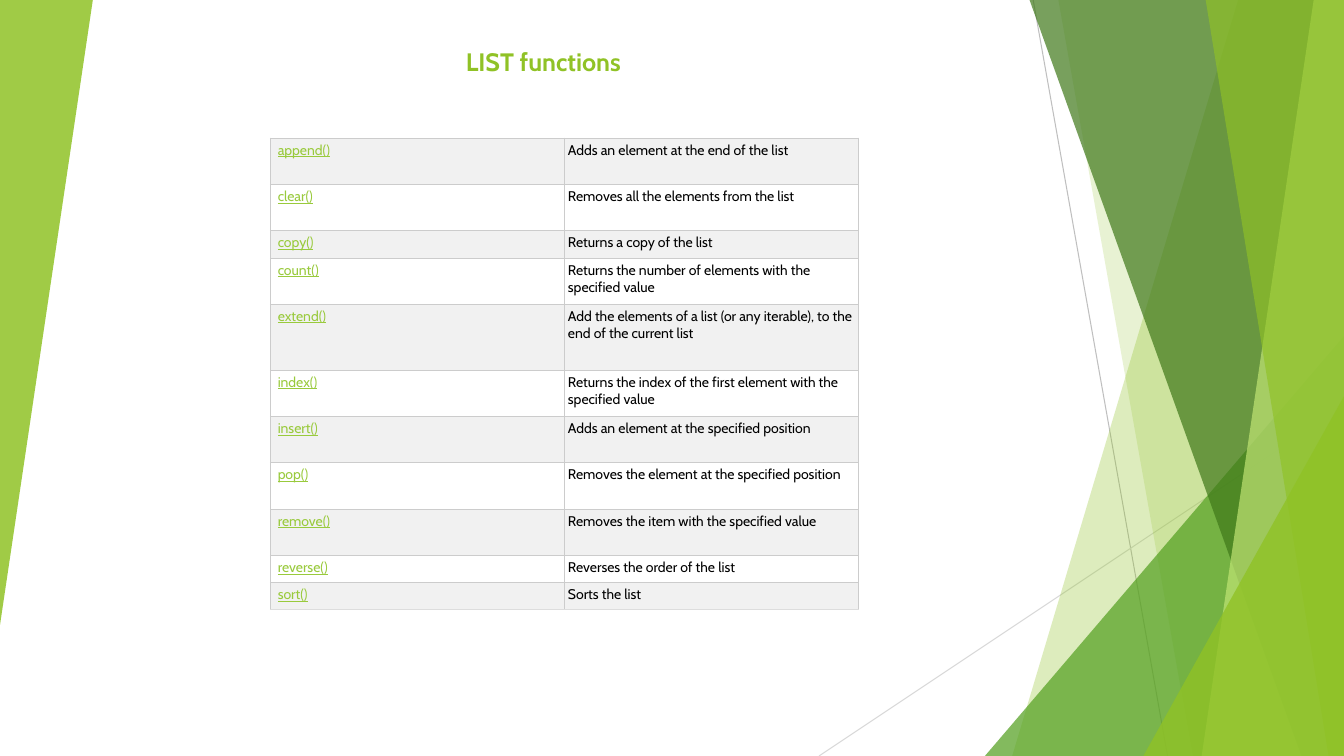
from lxml.etree import SubElement
from pptx import Presentation
from pptx.dml.color import RGBColor
from pptx.enum.shapes import MSO_CONNECTOR as Connector, MSO_SHAPE as Shape
from pptx.enum.text import MSO_ANCHOR as Anchor, MSO_AUTO_SIZE as AutoSize, PP_ALIGN as Align
from pptx.oxml.ns import qn
from pptx.util import Pt

FONT = "Cabin"
WIDTH, HEIGHT = 960, 540
COLORS = {
    "lime": "90C226", "green": "54A021", "forest": "3F7819", "pale": "C0E474",
    "link": "99CA3C", "text": "000000", "band": "F1F1F1", "plain": "FFFFFF",
    "border": "CCCCCC", "last_border": "DDDDDD",
    "dark_line": "BFBFBF", "light_line": "D9D9D9",
}
TALL, SHORT, EXTRA = 33.1, 19.5, 47
LIST_FUNCTIONS = [
    ("append()", "Adds an element at the end of the list", TALL),
    ("clear()", "Removes all the elements from the list", TALL),
    ("copy()", "Returns a copy of the list", SHORT),
    ("count()", "Returns the number of elements with the specified value", TALL),
    ("extend()", "Add the elements of a list (or any iterable), to the end of the current list", EXTRA),
    ("index()", "Returns the index of the first element with the specified value", TALL),
    ("insert()", "Adds an element at the specified position", TALL),
    ("pop()", "Removes the element at the specified position", TALL),
    ("remove()", "Removes the item with the specified value", TALL),
    ("reverse()", "Reverses the order of the list", SHORT),
    ("sort()", "Sorts the list", SHORT),
]


def rgb(color):
    return RGBColor.from_string(COLORS[color])


def add_run(paragraph, text, size, color, bold=False, underline=False):
    run = paragraph.add_run()
    run.text = text
    font = run.font
    font.name, font.size = FONT, Pt(size)
    font.bold, font.underline = bold, underline
    font.color.rgb = rgb(color)


def paint_facet(facet, color, opacity):
    facet.shadow.inherit = False
    facet.line.fill.background()
    facet.fill.solid()
    facet.fill.fore_color.rgb = rgb(color)
    tint = facet.fill._xPr.find(qn("a:solidFill"))[0]
    SubElement(tint, qn("a:alpha"), val=str(opacity * 1000))


def add_ray(slide, start, end, color):
    ray = slide.shapes.add_connector(Connector.STRAIGHT, *map(Pt, start + end))
    ray.line.color.rgb = rgb(color)
    ray.line.width = Pt(0.75)
    SubElement(ray._element.spPr, qn("a:effectLst"))


def add_wedge(slide, left, top, width, height, color, opacity, rotation=0):
    wedge = slide.shapes.add_shape(
        Shape.ISOSCELES_TRIANGLE, Pt(left), Pt(top), Pt(width), Pt(height))
    wedge.adjustments[0] = 1
    wedge.rotation = rotation
    paint_facet(wedge, color, opacity)


def add_right_facets(slide, left, top, width, height):
    right, bottom = left + width, top + height

    def add_blade(top_inset, bottom_inset, color, opacity):
        corners = [(right - top_inset, top), (right, top),
                   (right, bottom), (right - bottom_inset, bottom)]
        points = [(Pt(x), Pt(y)) for x, y in corners]
        outline = slide.shapes.build_freeform(*points[0], scale=1.0)
        outline.add_line_segments(points[1:], close=True)
        paint_facet(outline.convert_to_shape(), color, opacity)

    def add_corner(corner_width, corner_height, color, opacity):
        add_wedge(slide, right - corner_width, bottom - corner_height,
                  corner_width, corner_height, color, opacity)

    add_ray(slide, (right - 222, top), (right - 126, bottom), "dark_line")
    add_ray(slide, (right, top + 290), (left, bottom), "light_line")
    add_blade(75.6, 237, "lime", 30)
    add_blade(204, 108, "lime", 20)
    add_corner(256.5, 300, "green", 72)
    add_blade(224.6, 30.4, "forest", 70)
    add_blade(21.6, 101.6, "pale", 70)
    add_blade(98.8, 11, "lime", 65)
    add_corner(143.3, 257, "lime", 80)


def add_left_facet(slide, left, top, width, height):
    add_wedge(slide, left, top, width, height, "lime", 85, rotation=180)


def place_title(slide, left, top, width, height):
    title = slide.shapes.title
    title.left, title.top, title.width, title.height = map(Pt, (left, top, width, height))
    frame = title.text_frame
    frame.word_wrap = True
    frame.auto_size = AutoSize.NONE
    frame.vertical_anchor = Anchor.TOP
    paragraph = frame.paragraphs[0]
    paragraph.alignment = Align.LEFT
    add_run(paragraph, "LIST functions", 18, "lime", bold=True)


def border_cell(cell, bottom_color):
    properties = cell._tc.get_or_add_tcPr()
    for side in ("lnL", "lnR", "lnT", "lnB"):
        edge = SubElement(properties, qn(f"a:{side}"), w=str(Pt(0.6)))
        fill = SubElement(edge, qn("a:solidFill"))
        color = bottom_color if side == "lnB" else "border"
        SubElement(fill, qn("a:srgbClr"), val=COLORS[color])


def add_function_table(slide, left, top, width):
    height = sum(row_height for _, _, row_height in LIST_FUNCTIONS)
    table = slide.shapes.add_table(
        len(LIST_FUNCTIONS), 2, Pt(left), Pt(top), Pt(width), Pt(height)).table
    table.first_row = table.horz_banding = False
    for column in table.columns:
        column.width = Pt(width / 2)
    for index, (name, description, row_height) in enumerate(LIST_FUNCTIONS):
        row = table.rows[index]
        row.height = Pt(row_height)
        is_last = index == len(LIST_FUNCTIONS) - 1
        for cell in row.cells:
            cell.margin_left = cell.margin_right = Pt(2.7)
            cell.margin_top = cell.margin_bottom = Pt(2.7)
            border_cell(cell, "last_border" if is_last else "border")
            cell.fill.solid()
            cell.fill.fore_color.rgb = rgb("plain" if index % 2 else "band")
        name_cell, description_cell = row.cells
        name_cell.margin_left = Pt(5.4)
        add_run(name_cell.text_frame.paragraphs[0], name, 10, "link", underline=True)
        add_run(description_cell.text_frame.paragraphs[0], description, 10, "text")


def main():
    deck = Presentation()
    deck.slide_width, deck.slide_height = Pt(WIDTH), Pt(HEIGHT)
    slide = deck.slides.add_slide(deck.slide_layouts[5])
    add_right_facets(slide, 585, 0, 375, HEIGHT)
    add_left_facet(slide, 0, 0, 66.3, 446.4)
    place_title(slide, 325.5, 29.5, 186, 29)
    add_function_table(slide, 193, 98.6, 420)
    deck.save("out.pptx")


if __name__ == "__main__":
    main()
